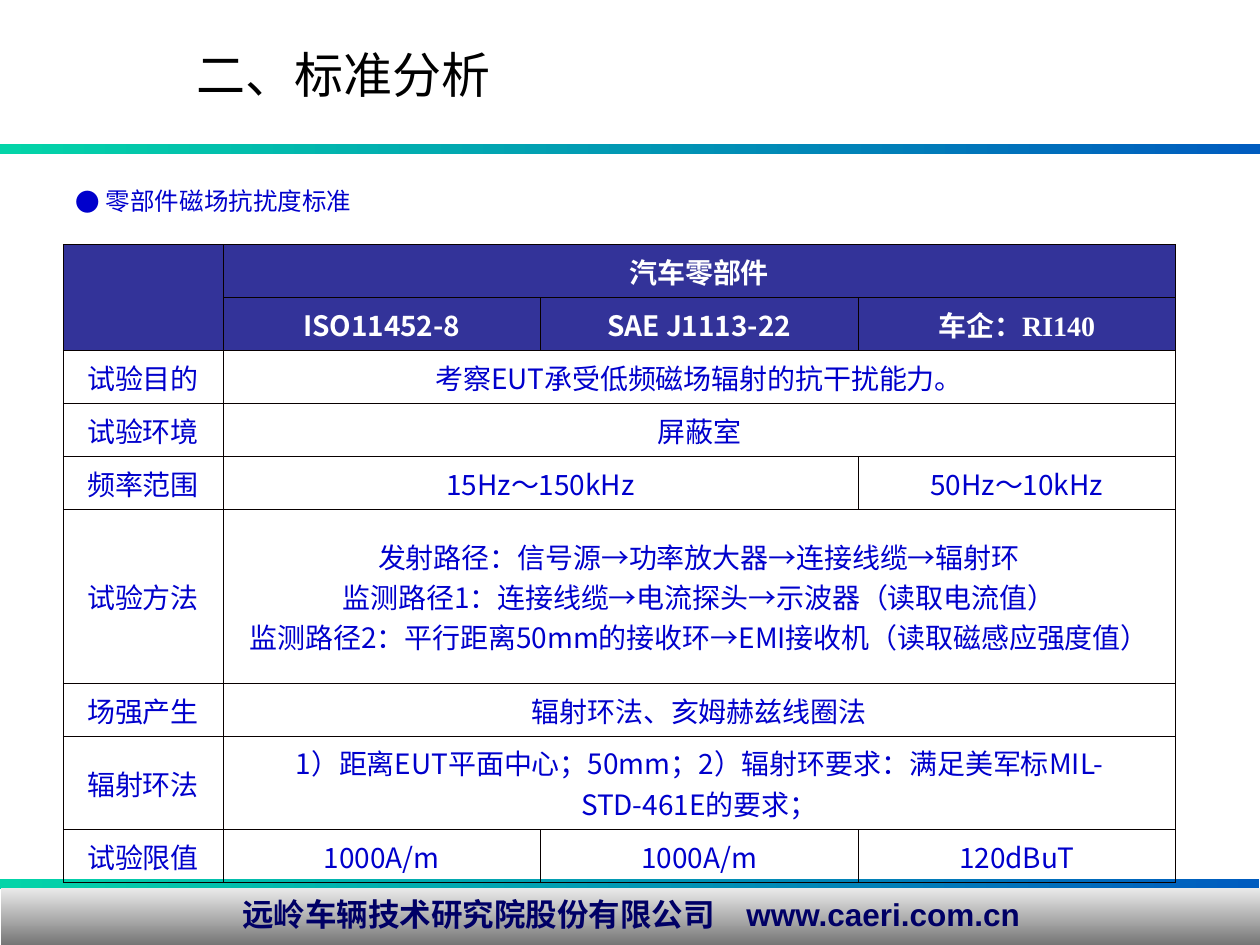
"""Build a slide with a table comparing magnetic field immunity standards."""
from lxml.etree import SubElement
from pptx import Presentation
from pptx.dml.color import RGBColor
from pptx.enum.shapes import MSO_SHAPE
from pptx.enum.text import MSO_ANCHOR, MSO_AUTO_SIZE, PP_ALIGN
from pptx.oxml.ns import qn
from pptx.util import Inches, Pt

NAVY, BLUE, WHITE = "333399", "0000CC", "FFFFFF"
SANS, SERIF = "Noto Sans CJK SC", "Times New Roman"


def rgb(value):
    return RGBColor.from_string(value)


def style(para, size, name, color, bold=False, align=PP_ALIGN.LEFT):
    para.alignment = align
    para.font.size = Pt(size)
    para.font.name = name
    para.font.bold = bold
    para.font.color.rgb = rgb(color)


deck = Presentation()
deck.slide_width, deck.slide_height = Inches(10), Inches(7.5)
page = deck.slides.add_slide(deck.slide_layouts[1])

bars = [
    (0, 6.98, 9.99, 0.08, "03D4A8", "005CBF", 0),
    (0, 1.14, 10, 0.08, "03D4A8", "005CBF", 0),
    (0.01, 7.05, 10, 0.49, "EAEAEA", "6C6C6C", 270),
]
for left, top, width, height, start, end, angle in bars:
    bar = page.shapes.add_shape(
        MSO_SHAPE.RECTANGLE, Inches(left), Inches(top), Inches(width), Inches(height))
    bar.shadow.inherit = False
    bar.line.fill.background()
    bar.fill.gradient()
    bar.fill.gradient_angle = angle
    for stop, color in zip(bar.fill.gradient_stops, (start, end)):
        stop.color.rgb = rgb(color)

footer = bar.text_frame
footer.vertical_anchor = MSO_ANCHOR.TOP
footer.text = "远岭车辆技术研究院股份有限公司　www.caeri.com.cn"
style(footer.paragraphs[0], 18, "Arial", "000066", True, PP_ALIGN.CENTER)

title, body = page.placeholders
title.left, title.top, title.width, title.height = map(Inches, (1.46, 0.3, 8.04, 0.85))
body.left, body.top, body.width, body.height = map(Inches, (0.5, 1.31, 9, 5.59))
for box, text in ((title, "二、标准分析"), (body, "零部件磁场抗扰度标准")):
    box.text_frame.text = text
    box.text_frame.auto_size = MSO_AUTO_SIZE.NONE
    box.text_frame.vertical_anchor = MSO_ANCHOR.TOP
style(title.text_frame.paragraphs[0], 28, "Calibri", "000000")

heading = body.text_frame.paragraphs[0]
heading.line_spacing = 1.5
heading.space_before = Pt(0)
properties = heading._p.get_or_add_pPr()
properties.set("marL", str(Inches(0.24)))
properties.set("indent", str(-Inches(0.24)))
SubElement(properties, qn("a:buFont"), typeface=SANS)
SubElement(properties, qn("a:buChar"), char="●")
style(heading, 14, "Arial", BLUE)

rows = [
    (0.37, [(1, ""), (3, "汽车零部件")]),
    (0.37, [(1, ""), (1, "ISO11452-8"), (1, "SAE J1113-22"), (1, "车企：RI140")]),
    (0.37, [(1, "试验目的"), (3, "考察EUT承受低频磁场辐射的抗干扰能力。")]),
    (0.37, [(1, "试验环境"), (3, "屏蔽室")]),
    (0.37, [(1, "频率范围"), (2, "15Hz～150kHz"), (1, "50Hz～10kHz")]),
    (0.9, [(1, "试验方法"), (3, "发射路径：信号源→功率放大器→连接线缆→辐射环\n"
                            "监测路径1：连接线缆→电流探头→示波器（读取电流值）\n"
                            "监测路径2：平行距离50mm的接收环→EMI接收机（读取磁感应强度值）")]),
    (0.37, [(1, "场强产生"), (3, "辐射环法、亥姆赫兹线圈法")]),
    (0.63, [(1, "辐射环法"),
            (3, "1）距离EUT平面中心；50mm；2）辐射环要求：满足美军标MIL-STD-461E的要求；")]),
    (0.37, [(1, "试验限值"), (1, "1000A/m"), (1, "1000A/m"), (1, "120dBuT")]),
]
table = page.shapes.add_table(
    len(rows), 4, Inches(0.5), Inches(1.94), Inches(8.83), Inches(4.12)).table
table.first_row = table.horz_banding = False
for column, width in zip(table.columns, (1.27, 2.52, 2.52, 2.52)):
    column.width = Inches(width)

for row, (height, entries) in enumerate(rows):
    table.rows[row].height = Inches(height)
    header = row < 2
    column = 0
    for span, text in entries:
        cell = table.cell(row, column)
        cell.text = text
        cell.vertical_anchor = MSO_ANCHOR.MIDDLE
        serif = row == 0 or (header and column == 3)
        for para in cell.text_frame.paragraphs:
            style(para, 16, SERIF if serif else SANS, WHITE if header else BLUE,
                  header, PP_ALIGN.CENTER)
        if span > 1:
            cell.merge(table.cell(row, column + span - 1))
        column += span
    for cell in table.rows[row].cells:
        cell_properties = cell._tc.get_or_add_tcPr()
        for side in ("a:lnL", "a:lnR", "a:lnT", "a:lnB"):
            line = SubElement(cell_properties, qn(side), w=str(Pt(0.25)))
            SubElement(SubElement(line, qn("a:solidFill")), qn("a:srgbClr"), val="080000")
        if header:
            cell.fill.solid()
            cell.fill.fore_color.rgb = rgb(NAVY)
        else:
            cell.fill.background()
table.cell(0, 0).merge(table.cell(1, 0))

deck.save("out.pptx")
